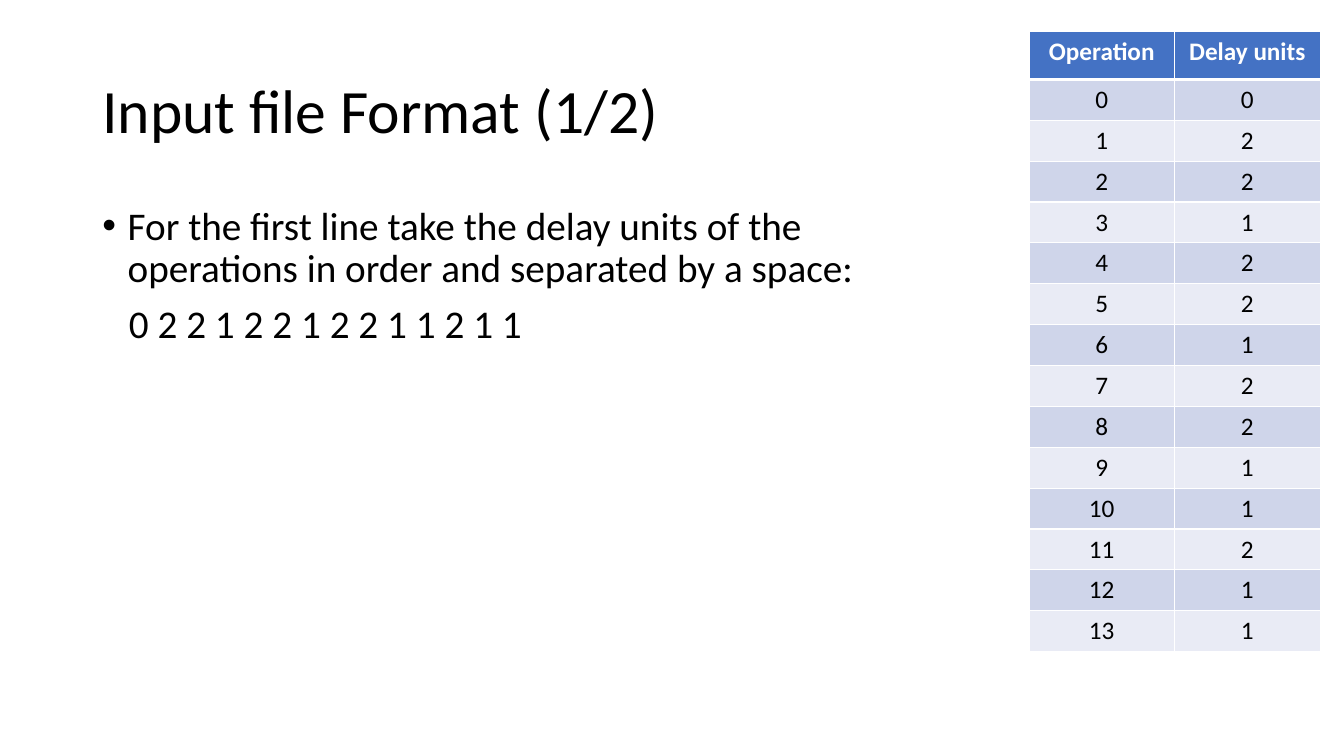
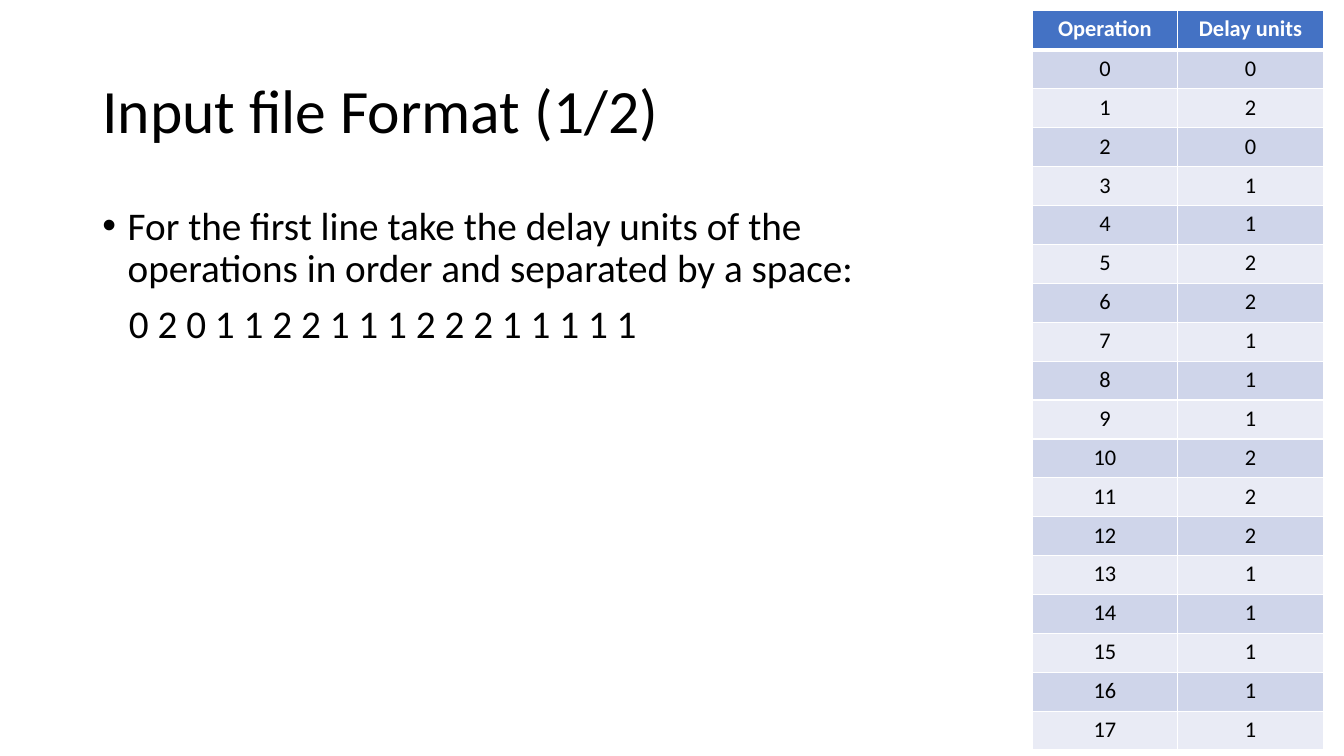
"""Build two slides that explain the first line of the input file."""
from lxml.etree import SubElement
from pptx import Presentation
from pptx.dml.color import RGBColor
from pptx.enum.text import MSO_ANCHOR, PP_ALIGN
from pptx.oxml.ns import qn
from pptx.util import Cm, Pt

FONT = "Calibri"
BLACK, WHITE, HEADER = "000000", "FFFFFF", "4472C4"
BANDS = ["CFD5EA", "E9EBF5"]
TITLE = "Input file Format (1/2)"
BODY = "For the first line take the delay units of the operations in order and separated by a space:"
COL_W = 3.67

SLIDES = [
    dict(delays="0 2 2 1 2 2 1 2 2 1 1 2 1 1", left=25.93, top=0.79,
         header_h=1.21, row_h=1.03, size=18),
    dict(delays="0 2 0 1 1 2 2 1 1 1 2 2 2 1 1 1 1 1", left=26.01, top=0.26,
         header_h=1.0, row_h=0.98, size=16),
]


def rgb(value):
    """Turn a hex string into a colour."""
    return RGBColor.from_string(value)


def write(p, text, size, color=BLACK, bold=False, align=None, spacing=None,
          before=0, margin=0, bullet=False):
    """Put formatted text into a paragraph."""
    r = p.add_run()
    r.text = text
    r.font.name, r.font.size, r.font.bold = FONT, Pt(size), bold
    r.font.color.rgb = rgb(color)
    p.alignment, p.line_spacing, p.space_before = align, spacing, Pt(before)
    pPr = p._p.get_or_add_pPr()
    pPr.set("marL", str(Cm(margin)))
    if bullet:
        pPr.set("indent", str(-Cm(margin)))
        SubElement(pPr, qn("a:buFont"), typeface="Arial")
        SubElement(pPr, qn("a:buChar"), char="•")


prs = Presentation()
prs.slide_width, prs.slide_height = Cm(33.87), Cm(19.05)

for item in SLIDES:
    s = prs.slides.add_slide(prs.slide_layouts[6])

    tf = s.shapes.add_textbox(Cm(2.33), Cm(1.01), Cm(29.21), Cm(3.68)).text_frame
    tf.word_wrap = True
    tf.vertical_anchor = MSO_ANCHOR.MIDDLE
    write(tf.paragraphs[0], TITLE, 44, spacing=0.9)

    tf = s.shapes.add_textbox(Cm(2.33), Cm(5.07), Cm(21.46), Cm(6.58)).text_frame
    tf.word_wrap = True
    write(tf.paragraphs[0], BODY, 28, spacing=0.9, before=10, margin=0.64, bullet=True)
    write(tf.add_paragraph(), item["delays"], 28, spacing=0.9, before=10, margin=0.67)

    rows = [("Operation", "Delay units")]
    rows += [(str(n), delay) for n, delay in enumerate(item["delays"].split())]
    height = item["header_h"] + item["row_h"] * (len(rows) - 1)
    table = s.shapes.add_table(len(rows), 2, Cm(item["left"]), Cm(item["top"]),
                               Cm(2 * COL_W), Cm(height)).table
    for column in table.columns:
        column.width = Cm(COL_W)

    for i, values in enumerate(rows):
        header = i == 0
        table.rows[i].height = Cm(item["header_h"] if header else item["row_h"])
        for j, value in enumerate(values):
            cell = table.cell(i, j)
            write(cell.text_frame.paragraphs[0], value, item["size"],
                  color=WHITE if header else BLACK, bold=header, align=PP_ALIGN.CENTER)
            tcPr = cell._tc.get_or_add_tcPr()
            for side in "LRTB":
                thick = (i, side) in [(0, "B"), (1, "T")]
                ln = SubElement(tcPr, qn(f"a:ln{side}"), w=str(Pt(3 if thick else 1)))
                SubElement(SubElement(ln, qn("a:solidFill")), qn("a:srgbClr"), val=WHITE)
            cell.fill.solid()
            cell.fill.fore_color.rgb = rgb(HEADER if header else BANDS[(i - 1) % 2])

prs.save("out.pptx")
